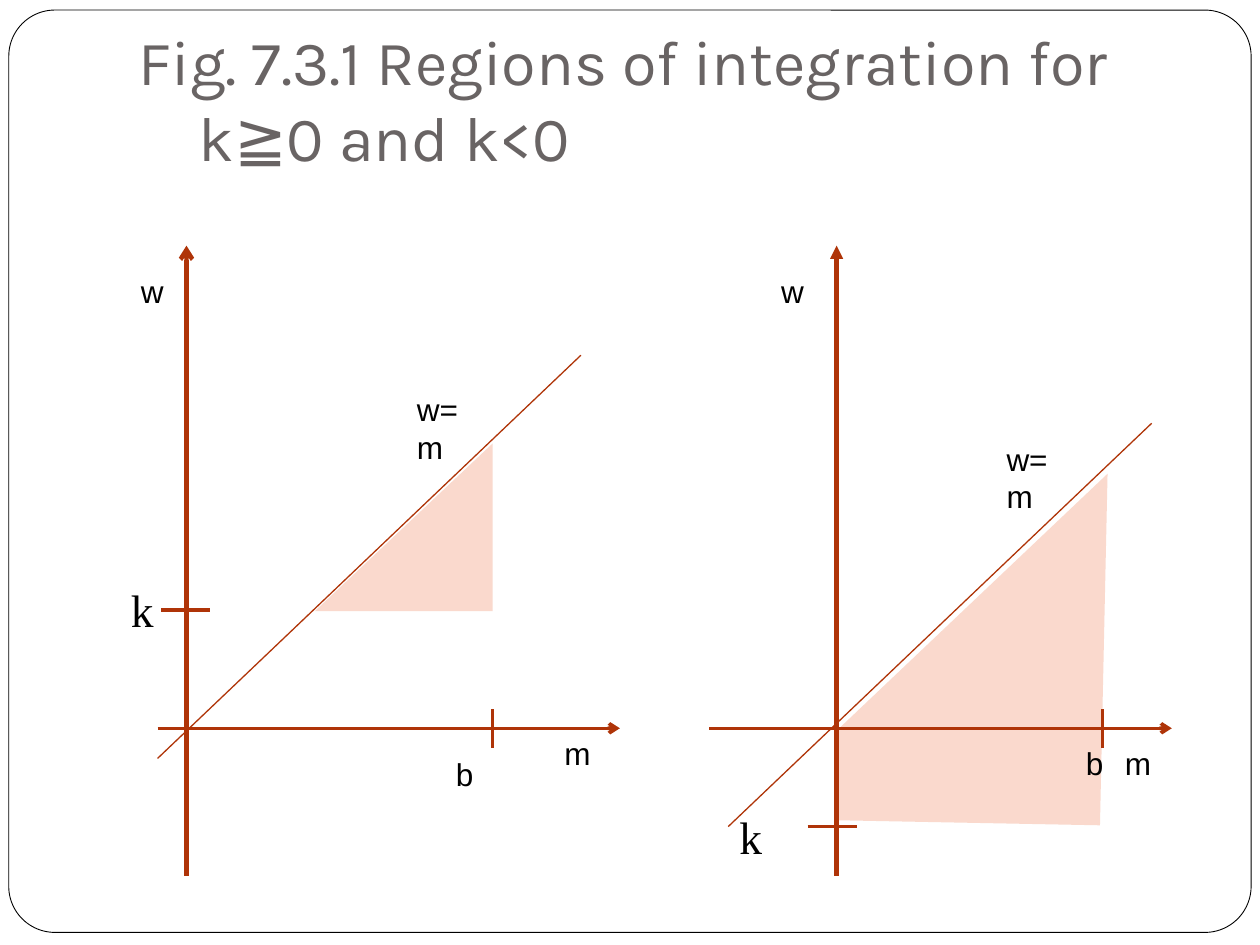
import pptx
import pptx.dml.color
import pptx.enum.shapes
import pptx.enum.text
import pptx.oxml.ns
import pptx.util
from lxml import etree

Inches = pptx.util.Inches
Pt = pptx.util.Pt
SHAPES = pptx.enum.shapes.MSO_SHAPE
COLORS = {"paper": "FFFFFF", "frame": "000000", "title": "696464",
          "axis": "AF3408", "region": "FAD9CD", "label": "000000"}
PANEL_TOP = 1.95
AXIS_WIDTH, AXIS_HEIGHT, AXIS_Y = 3.67, 5, 3.83


def rgb(name):
    return pptx.dml.color.RGBColor.from_string(COLORS[name])


def fill_plain(shape, color):
    shape.shadow.inherit = False
    shape.fill.solid()
    shape.fill.fore_color.rgb = rgb(color)
    shape.line.fill.background()


def add_line(slide, start, end, width, head=None):
    """Draw a line; head is the arrowhead type at its end."""
    line = slide.shapes.add_connector(
        pptx.enum.shapes.MSO_CONNECTOR.STRAIGHT,
        *(Inches(v) for v in (*start, *end)))
    line.line.color.rgb = rgb("axis")
    line.line.width = Pt(width)
    if head:
        etree.SubElement(line.line._get_or_add_ln(),
                         pptx.oxml.ns.qn("a:tailEnd"), type=head)
    etree.SubElement(line._element.spPr, pptx.oxml.ns.qn("a:effectLst"))


def add_run(paragraph, text, size, font, color):
    run = paragraph.add_run()
    run.text = text
    run.font.size = Pt(size)
    run.font.name = font
    run.font.color.rgb = rgb(color)


def add_label(slide, text, left, top, width, height=0.4, size=18, font="Arial"):
    box = slide.shapes.add_textbox(*(Inches(v) for v in (left, top, width, height)))
    box.text_frame.word_wrap = False
    add_run(box.text_frame.paragraphs[0], text, size, font, "label")


def add_frame(slide, left, top, width, height):
    frame = slide.shapes.add_shape(
        SHAPES.ROUNDED_RECTANGLE, *(Inches(v) for v in (left, top, width, height)))
    frame.adjustments[0] = 0.05
    fill_plain(frame, "paper")
    frame.line.color.rgb = rgb("frame")
    frame.line.width = Pt(0.5)


def add_title(slide, left, top, width, height):
    box = slide.shapes.add_textbox(*(Inches(v) for v in (left, top, width, height)))
    frame = box.text_frame
    frame.word_wrap = True
    frame.vertical_anchor = pptx.enum.text.MSO_ANCHOR.BOTTOM
    frame.margin_bottom = Inches(0.1)
    title = frame.paragraphs[0]
    properties = title._p.get_or_add_pPr()
    properties.set("marL", str(Inches(0.48)))
    properties.set("indent", str(-Inches(0.48)))
    add_run(title, "Fig. 7.3.1 Regions of integration for", 36, "Karla", "title")
    title.add_line_break()
    add_run(title, "k≧0 and k<0", 36, "Karla", "title")


def add_triangle_region(slide, left, top):
    """Shade the region above w = k, left of m = b and below w = m."""
    region = slide.shapes.add_shape(
        SHAPES.RIGHT_TRIANGLE, Inches(left + 1.25), Inches(top + 1.57),
        Inches(1.41), Inches(1.33))
    region._element.spPr.xfrm.set("flipH", "1")
    fill_plain(region, "region")


def add_trapezoid_region(slide, left, top):
    """Shade the region that reaches below the m axis down to w = k."""
    corners = [(1.02, 3.84), (3.16, 1.81), (3.1, 4.6), (1.01, 4.56)]
    points = [(Inches(left + x), Inches(top + y)) for x, y in corners]
    outline = slide.shapes.build_freeform(*points[0])
    outline.add_line_segments(points[1:], close=True)
    fill_plain(outline.convert_to_shape(), "region")


def add_graph(slide, left, top, graph):
    def at(x, y):
        return left + x, top + y

    graph["region"](slide, left, top)
    w_axis, b, (k_start, k_y) = graph["w_axis"], graph["b"], graph["k_tick"]
    add_line(slide, at(w_axis, AXIS_HEIGHT), at(w_axis, 0), 2.5, graph["w_head"])
    add_line(slide, at(0, AXIS_Y), at(AXIS_WIDTH, AXIS_Y), 2, "arrow")
    x, y = graph["diagonal"]
    add_line(slide, at(x, y), at(x + 3.36, y - 3.2), 0.75)
    add_line(slide, at(k_start, k_y), at(k_start + 0.39, k_y), 2)
    add_line(slide, at(b, AXIS_Y - 0.15), at(b, AXIS_Y + 0.16), 2)
    widths = {"w": 0.38, "m": 0.41, "w=m": 0.73, "b": 0.34}
    for text, place in graph["labels"].items():
        add_label(slide, text, *at(*place), widths[text])
    add_label(slide, "k", *at(*graph["k_label"]), 0.36, 0.54, 26, "Times New Roman")


POSITIVE_K = {
    "region": add_triangle_region, "w_axis": 0.23, "w_head": "arrow",
    "diagonal": (0, 4.07), "k_tick": (0.03, 2.89), "b": 2.66,
    "labels": {"w": (-0.23, 0.16), "m": (3.13, 3.83),
               "w=m": (1.96, 1.1), "b": (2.27, 3.99)},
    "k_label": (-0.31, 2.62),
}
NEGATIVE_K = {
    "region": add_trapezoid_region, "w_axis": 1.01, "w_head": "triangle",
    "diagonal": (0.15, 4.61), "k_tick": (0.78, 4.61), "b": 3.12,
    "labels": {"w": (0.47, 0.16), "m": (3.2, 3.91),
               "w=m": (2.26, 1.49), "b": (2.89, 3.91)},
    "k_label": (0.14, 4.42),
}


def main():
    deck = pptx.Presentation()
    deck.slide_width, deck.slide_height = Inches(10), Inches(7.5)
    slide = deck.slides.add_slide(deck.slide_layouts[6])
    add_frame(slide, 0.07, 0.08, 9.86, 7.32)
    add_title(slide, 1, 0.3, 8.5, 1.18)
    add_graph(slide, 1.25, PANEL_TOP, POSITIVE_K)
    add_graph(slide, 5.63, PANEL_TOP, NEGATIVE_K)
    deck.save("out.pptx")


if __name__ == "__main__":
    main()
